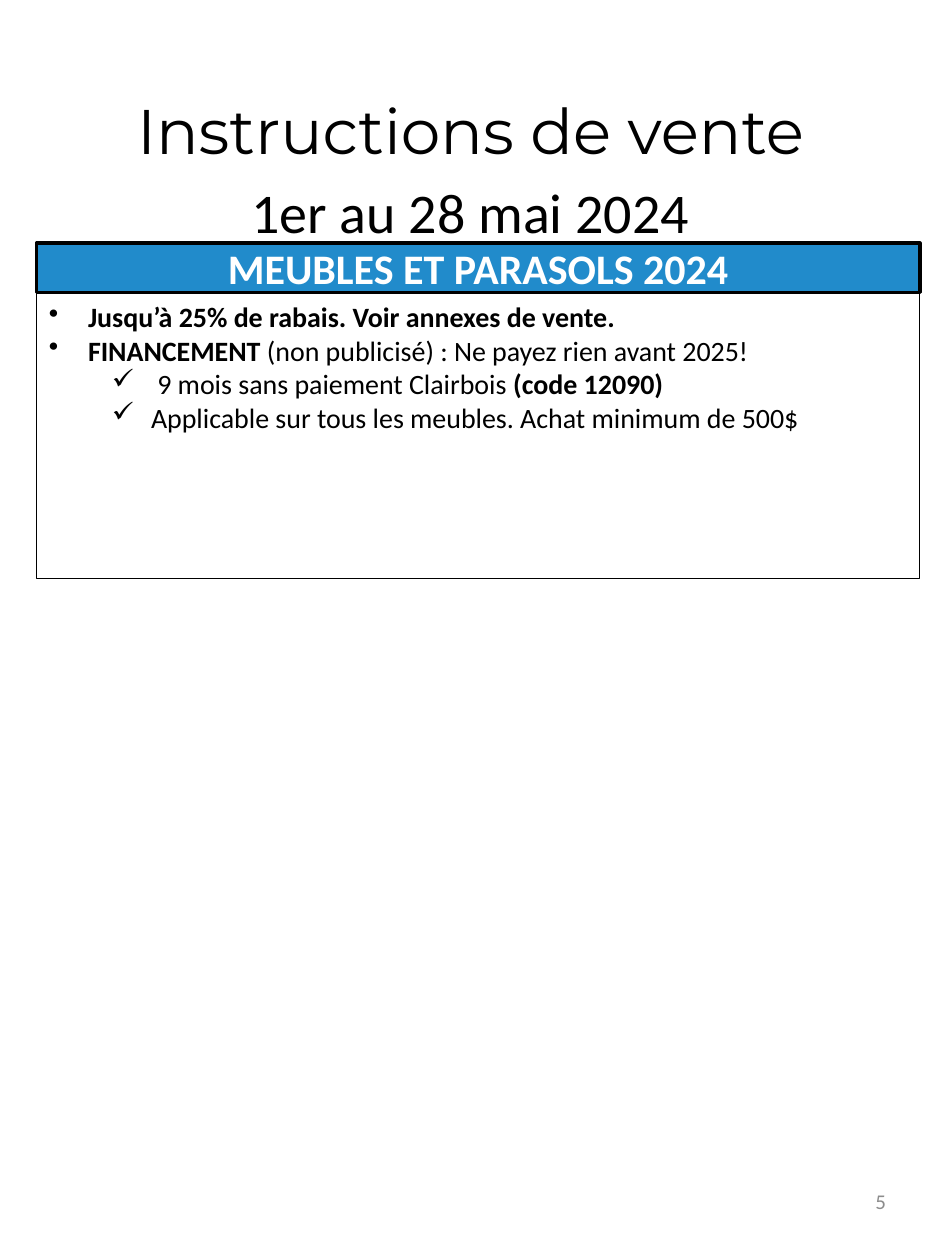
from dataclasses import dataclass
from typing import Optional

from lxml.etree import SubElement
from pptx import Presentation
from pptx.dml.color import RGBColor
from pptx.enum.shapes import MSO_SHAPE as Preset
from pptx.enum.text import MSO_ANCHOR as Anchor, MSO_AUTO_SIZE as AutoSize, PP_ALIGN as Align
from pptx.oxml.ns import qn
from pptx.util import Inches, Pt

WIDTH, HEIGHT = 7.5, 10
MARGIN, PANEL_WIDTH = 0.29 / WIDTH, 7.01 / WIDTH
BLACK, WHITE, BLUE, GREY = "000000", "FFFFFF", "218BCB", "8C8C8C"


@dataclass
class Area:
    """Left, top, width and height as shares of the slide."""
    left: float
    top: float
    width: float
    height: float

    def lengths(self) -> tuple:
        return (Inches(self.left * WIDTH), Inches(self.top * HEIGHT),
                Inches(self.width * WIDTH), Inches(self.height * HEIGHT))


@dataclass
class Panel:
    area: Area
    line_width: float
    fill: Optional[str] = None


@dataclass
class Item:
    """A bulleted line whose runs are (text, bold) pairs."""
    runs: list
    level: int = 0


ITEMS = [
    Item([("Jusqu’à 25% de rabais. Voir annexes de vente.", True)]),
    Item([("FINANCEMENT ", True),
          ("(non publicisé) : Ne payez rien avant 2025!", False)]),
    Item([(" 9 mois sans paiement Clairbois ", False), ("(code 12090)", True)], 1),
    Item([("Applicable sur tous les meubles. Achat minimum de 500$", False)], 1),
]


def color(value: str) -> RGBColor:
    return RGBColor.from_string(value)


def add_text(paragraph, text: str, *, size: float, font: str = "Calibri",
             ink: str = BLACK, bold: bool = False, outline: float = 0):
    run = paragraph.add_run()
    run.text = text
    run.font.size, run.font.name, run.font.bold = Pt(size), font, bold
    run.font.color.rgb = color(ink)
    if outline:
        properties = run.font._element
        line = SubElement(properties, qn("a:ln"), w=str(Pt(outline)))
        fill = SubElement(line, qn("a:solidFill"))
        SubElement(fill, qn("a:srgbClr"), val=ink)
        properties.insert(0, line)
    return run


def set_frame(shape, anchor):
    frame = shape.text_frame
    frame.word_wrap, frame.auto_size = True, AutoSize.NONE
    frame.vertical_anchor = anchor
    return frame


def add_panel(slide, panel: Panel):
    shape = slide.shapes.add_shape(Preset.RECTANGLE, *panel.area.lengths())
    shape.shadow.inherit = False
    if panel.fill:
        shape.fill.solid()
        shape.fill.fore_color.rgb = color(panel.fill)
    else:
        shape.fill.background()
    shape.line.color.rgb = color(BLACK)
    shape.line.width = Pt(panel.line_width)
    return shape


def add_item(paragraph, item: Item) -> None:
    paragraph.alignment, paragraph.level = Align.LEFT, item.level
    properties = paragraph._p.get_or_add_pPr()
    properties.set("marL", str(Inches(0.31 + 0.5 * item.level)))
    properties.set("indent", str(Inches(-0.31)))
    SubElement(properties, qn("a:buChar"), char="•✓"[item.level])
    for text, bold in item.runs:
        add_text(paragraph, text, size=16, bold=bold)


def main() -> None:
    presentation = Presentation()
    presentation.slide_width, presentation.slide_height = Inches(WIDTH), Inches(HEIGHT)
    slide = presentation.slides.add_slide(presentation.slide_layouts[5])

    # Section heading
    heading = add_panel(slide, Panel(Area(MARGIN, 0.193, PANEL_WIDTH, 0.039), 2, BLUE))
    paragraph = set_frame(heading, Anchor.MIDDLE).paragraphs[0]
    paragraph.alignment = Align.CENTER
    add_text(paragraph, "MEUBLES ET PARASOLS 2024", size=24, ink=WHITE, bold=True)

    # Offer details
    details = add_panel(slide, Panel(Area(MARGIN, 0.233, PANEL_WIDTH, 0.226), 0.75))
    frame = set_frame(details, Anchor.TOP)
    for index, item in enumerate(ITEMS):
        add_item(frame.add_paragraph() if index else frame.paragraphs[0], item)

    # Page number
    number = slide.shapes.add_textbox(*Area(5.38 / WIDTH, 0.927, 1.75 / WIDTH, 0.053).lengths())
    paragraph = set_frame(number, Anchor.MIDDLE).paragraphs[0]
    paragraph.alignment = Align.RIGHT
    add_text(paragraph, "5", size=12, ink=GREY)

    # Title and dates
    title = slide.shapes.title
    title.left, title.top, title.width, title.height = Area(
        0.36 / WIDTH, 0.059, 0.9, 0.118).lengths()
    paragraph = set_frame(title, Anchor.TOP).paragraphs[0]
    paragraph.alignment = Align.CENTER
    paragraph.line_spacing, paragraph.space_after = 1.15, Pt(10)
    add_text(paragraph, "Instructions de vente", size=36, font="Montserrat", outline=0.4)
    paragraph.add_line_break()
    add_text(paragraph, "1er au 28 mai 2024", size=32, outline=0.4)

    presentation.save("out.pptx")


if __name__ == "__main__":
    main()
